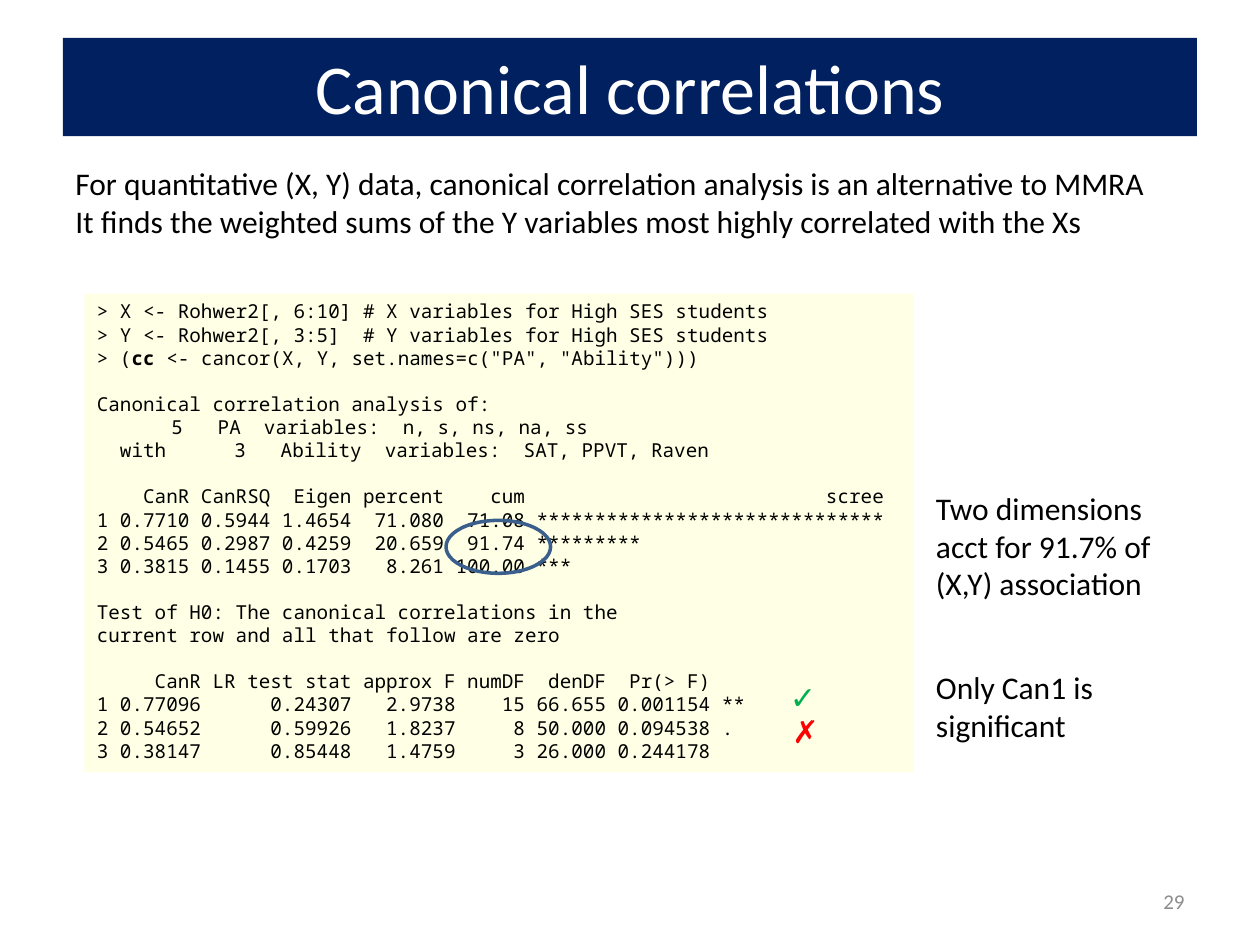
from lxml import etree
from pptx import Presentation, util as u
from pptx.dml.color import RGBColor
from pptx.enum import shapes, text
from pptx.oxml.ns import qn

COLORS = {
    "navy": "002060", "white": "FFFFFF", "black": "000000", "grey": "8C8C8C",
    "yellow": "FFFF00", "green": "00B050", "red": "FF0000", "outline": "3A5F8C",
}
MONO = "Noto Sans Mono"
CONSOLE_LINE = 13.2  # height of one console line in points

# Console output, one string per block
CONSOLE_BLOCKS = [
    """> X <- Rohwer2[, 6:10] # X variables for High SES students
> Y <- Rohwer2[, 3:5]  # Y variables for High SES students
> (**cc** <- cancor(X, Y, set.names=c("PA", "Ability")))""",
    """Canonical correlation analysis of:
\t 5   PA  variables:  n, s, ns, na, ss
  with\t 3   Ability  variables:  SAT, PPVT, Raven""",
    """    CanR CanRSQ  Eigen percent    cum                          scree
1 0.7710 0.5944 1.4654  71.080  71.08 ******************************
2 0.5465 0.2987 0.4259  20.659  91.74 *********
3 0.3815 0.1455 0.1703   8.261 100.00 ***""",
    """Test of H0: The canonical correlations in the
current row and all that follow are zero""",
    """     CanR LR test stat approx F numDF  denDF  Pr(> F)
1 0.77096      0.24307   2.9738    15 66.655 0.001154 **
2 0.54652      0.59926   1.8237     8 50.000 0.094538 .
3 0.38147      0.85448   1.4759     3 26.000 0.244178""",
]


def rgb(name):
    return RGBColor.from_string(COLORS[name])


def add_shape(slide, kind, box, fill=None, alpha=None, line=None):
    """Add a preset shape; alpha is the opacity in percent."""
    shape = slide.shapes.add_shape(kind, *map(u.Inches, box))
    shape.shadow.inherit = False
    if fill:
        shape.fill.solid()
        shape.fill.fore_color.rgb = rgb(fill)
    else:
        shape.fill.background()
    if alpha:
        color = shape.fill._xPr.find(f".//{qn('a:srgbClr')}")
        etree.SubElement(color, qn("a:alpha"), val=str(alpha * 1000))
    if line:
        shape.line.color.rgb = rgb(line)
        shape.line.width = u.Pt(2)
    else:
        shape.line.fill.background()
    return shape


def add_text_box(slide, box, content, **style):
    shape = slide.shapes.add_textbox(*map(u.Inches, box))
    write(shape, [content], **style)


def write(shape, blocks, size=18, font="Calibri", color="black", align="LEFT",
          anchor="TOP", wrap=True, gap=0, bold_mark=None):
    """Write blocks of lines, with a gap in points before each later block."""
    frame = shape.text_frame
    frame.word_wrap = wrap
    frame.vertical_anchor = text.MSO_ANCHOR[anchor]
    paragraph = None
    for block in blocks:
        for row, line in enumerate(block.split("\n")):
            starts_block = paragraph is not None and row == 0
            paragraph = frame.add_paragraph() if paragraph else frame.paragraphs[0]
            paragraph.alignment = text.PP_ALIGN[align]
            if starts_block:
                paragraph.space_before = u.Pt(gap)
            marked = bold_mark and bold_mark in line
            for index, piece in enumerate(line.split(bold_mark) if marked else [line]):
                run = paragraph.add_run()
                run.text = piece
                run.font.size = u.Pt(size)
                run.font.name = font
                run.font.bold = index == 1
                run.font.color.rgb = rgb(color)


def add_console(slide):
    panel = add_shape(slide, shapes.MSO_SHAPE.RECTANGLE, (0.67, 2.33, 6.58, 3.8),
                      fill="yellow", alpha=10)
    # Only the command block holds bold marks; stars elsewhere are output
    commands, *output = CONSOLE_BLOCKS
    style = dict(size=11, font=MONO, gap=CONSOLE_LINE)
    write(panel, [commands], bold_mark="**", **style)
    for block in output:
        append_block(panel, block, **style)


def append_block(shape, block, size, font, gap):
    for row, line in enumerate(block.split("\n")):
        paragraph = shape.text_frame.add_paragraph()
        paragraph.alignment = text.PP_ALIGN.LEFT
        paragraph.space_before = u.Pt(0 if row else gap)
        run = paragraph.add_run()
        run.text = line
        run.font.size = u.Pt(size)
        run.font.name = font
        run.font.color.rgb = rgb("black")


def main():
    presentation = Presentation()
    presentation.slide_width, presentation.slide_height = u.Inches(10), u.Inches(7.5)
    slide = presentation.slides.add_slide(presentation.slide_layouts[6])

    # Title bar and page number
    title = add_shape(slide, shapes.MSO_SHAPE.RECTANGLE, (0.5, 0.3, 9, 0.78), fill="navy")
    write(title, ["Canonical correlations"], size=40, color="white",
          align="CENTER", anchor="MIDDLE")
    add_text_box(slide, (7.17, 6.95, 2.33, 0.4), "29", size=12, color="grey",
                 align="RIGHT", anchor="MIDDLE")

    # Introduction
    add_text_box(slide, (0.5, 1.25, 9, 0.71),
                 "For quantitative (X, Y) data, canonical correlation analysis "
                 "is an alternative to MMRA\n"
                 "It finds the weighted sums of the Y variables most highly "
                 "correlated with the Xs")

    add_console(slide)

    # Comments beside the console
    add_text_box(slide, (7.33, 3.83, 2.25, 1.01),
                 "Two dimensions acct for 91.7% of (X,Y) association")
    add_text_box(slide, (7.33, 5.25, 2.25, 0.71), "Only Can1 is significant")

    # Verdict marks and highlighted percentage
    for box, mark, color in [((6.17, 5.33, 0.4, 0.4), "✓", "green"),
                             ((6.19, 5.6, 0.36, 0.4), "✗", "red")]:
        add_text_box(slide, box, mark, color=color, align="CENTER", wrap=False)
    add_shape(slide, shapes.MSO_SHAPE.OVAL, (3.54, 4.13, 0.83, 0.42), line="outline")

    presentation.save("out.pptx")


if __name__ == "__main__":
    main()
